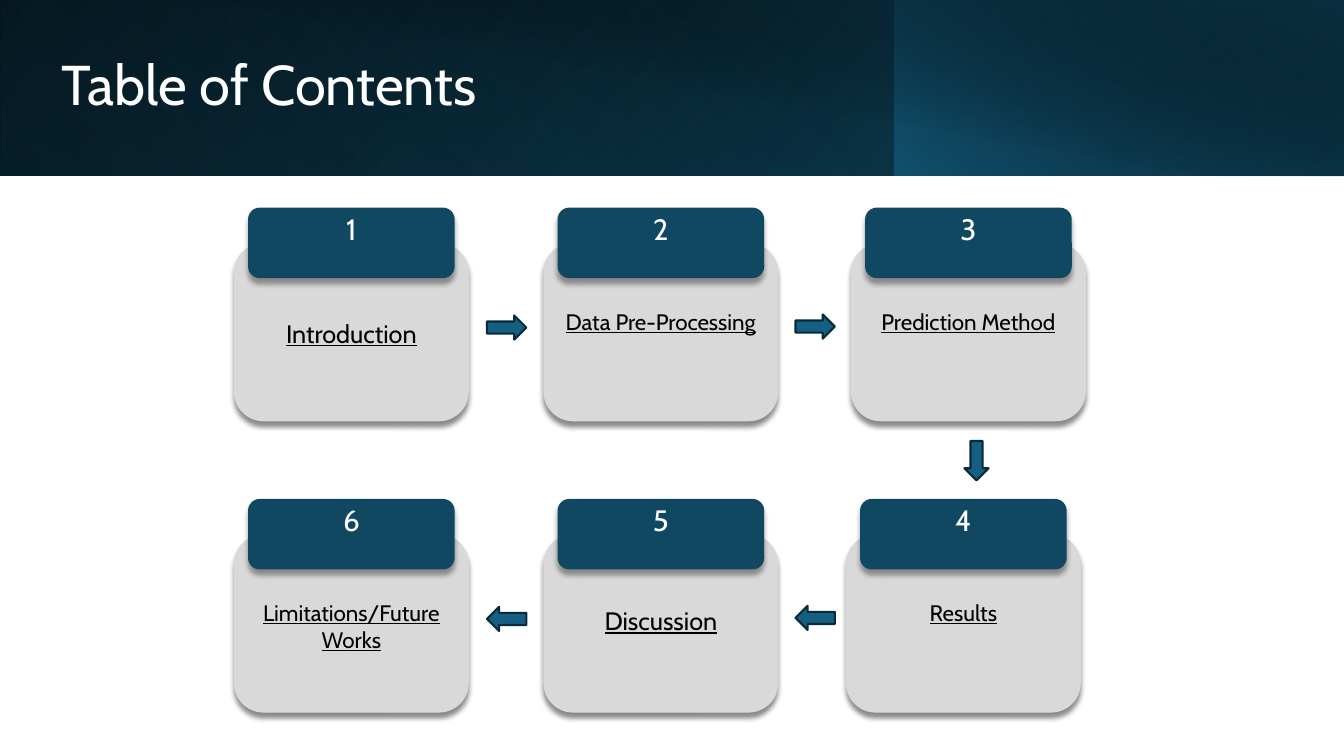
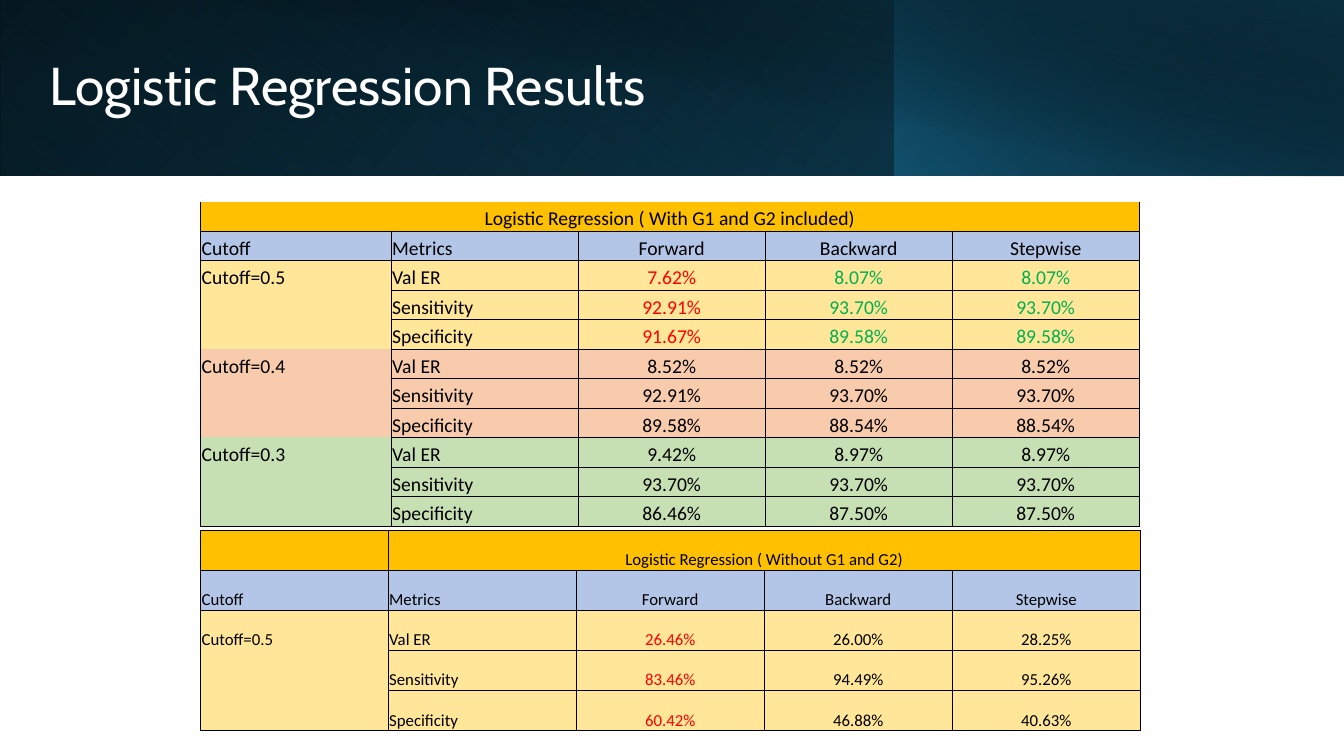
"""Builds a contents slide and a logistic regression results slide."""
from pptx import Presentation
from pptx.dml.color import RGBColor
from pptx.enum.shapes import MSO_SHAPE
from pptx.enum.text import MSO_ANCHOR, PP_ALIGN
from pptx.oxml import parse_xml
from pptx.oxml.ns import nsdecls, qn
from pptx.util import Inches, Pt

RECT = MSO_SHAPE.RECTANGLE
CARD = MSO_SHAPE.FLOWCHART_ALTERNATE_PROCESS
ARROW = MSO_SHAPE.RIGHT_ARROW
LEFT, CENTER = PP_ALIGN.LEFT, PP_ALIGN.CENTER
TOP, MIDDLE, BOTTOM = MSO_ANCHOR.TOP, MSO_ANCHOR.MIDDLE, MSO_ANCHOR.BOTTOM

HEADING_FONT, TABLE_FONT = "Cabin", "Calibri"
WHITE, BLACK = "FFFFFF", "000000"
TEAL, DEEP_TEAL, NAVY, OUTLINE = "156082", "104862", "0B3041", "092A39"
GREY, RED, GREEN = "D9D9D9", "FF0000", "00B050"
GOLD, BLUE, YELLOW, PEACH, MINT = "FFC000", "B4C6E7", "FFE699", "F8CBAD", "C6E0B4"

BAND = [
    ((0, 0, 13.33, 1.74), 140, True, 0, [(0, BLACK, 100), (100, DEEP_TEAL, 100)]),
    ((0, 0, 8.88, 1.74), 230, True, 180, [(20, TEAL, 0), (100, NAVY, 55)]),
    ((8.87, 0, 4.46, 1.74), 220, True, 0, [(0, TEAL, 66), (100, BLACK, 30)]),
    ((0.5, 0, 12.83, 1.75), 280, False, 0, [(50, BLACK, 0), (99, NAVY, 52)]),
]

ROW_1, ROW_2 = 2.41, 5.3
CARDS = [
    ("1", "Introduction", 2.32, ROW_1, 18, 0.66),
    ("2", "Data Pre-Processing", 5.39, ROW_1, 16, 0.56),
    ("3", "Prediction Method", 8.44, ROW_1, 16, 0.56),
    ("4", "Results", 8.39, ROW_2, 16, 0.56),
    ("5", "Discussion", 5.39, ROW_2, 18, 0.62),
    ("6", "Limitations/Future Works", 2.32, ROW_2, 16, 0.56),
]
ARROWS = [(4.83, 3.13, 0), (7.89, 3.12, 0), (9.49, 4.45, 90),
          (7.89, 6.01, 180), (4.83, 6.02, 180)]

HEADINGS = ["Cutoff", "Metrics", "Forward", "Backward", "Stepwise"]
METRICS = ["Val ER", "Sensitivity", "Specificity"]
WITH_GRADES = [
    ("Cutoff=0.5", YELLOW, (RED, GREEN, GREEN),
     [("7.62%", "8.07%", "8.07%"),
      ("92.91%", "93.70%", "93.70%"),
      ("91.67%", "89.58%", "89.58%")]),
    ("Cutoff=0.4", PEACH, (BLACK, BLACK, BLACK),
     [("8.52%", "8.52%", "8.52%"),
      ("92.91%", "93.70%", "93.70%"),
      ("89.58%", "88.54%", "88.54%")]),
    ("Cutoff=0.3", MINT, (BLACK, BLACK, BLACK),
     [("9.42%", "8.97%", "8.97%"),
      ("93.70%", "93.70%", "93.70%"),
      ("86.46%", "87.50%", "87.50%")]),
]
WITHOUT_GRADES = [
    ("Cutoff=0.5", YELLOW, (RED, BLACK, BLACK),
     [("26.46%", "26.00%", "28.25%"),
      ("83.46%", "94.49%", "95.26%"),
      ("60.42%", "46.88%", "40.63%")]),
]


def rgb(value):
    """Turn a hex string into a colour."""
    return RGBColor.from_string(value)


def write(frame, text, size, font=HEADING_FONT, color=BLACK, align=LEFT,
          underline=False, spacing=None):
    """Write one formatted paragraph into a text frame."""
    paragraph = frame.paragraphs[0]
    paragraph.alignment = align
    if spacing:
        paragraph.line_spacing = spacing
    if not text:
        paragraph._p.append(parse_xml(
            f'<a:endParaRPr {nsdecls("a")} sz="{size * 100}"/>'))
        return
    run = paragraph.add_run()
    run.text = text
    run.font.size = Pt(size)
    run.font.name = font
    run.font.color.rgb = rgb(color)
    run.font.underline = underline or None


def add_block(shapes, kind, box, fill=None, line=None, shadow=None):
    """Add a preset shape with an optional fill, outline and shadow opacity."""
    block = shapes.add_shape(kind, *map(Inches, box))
    block.shadow.inherit = False
    if fill:
        block.fill.solid()
        block.fill.fore_color.rgb = rgb(fill)
    else:
        block.fill.background()
    if line:
        block.line.color.rgb = rgb(line)
        block.line.width = Pt(1.5)
    else:
        block.line.fill.background()
    if shadow:
        block._element.spPr.find(qn("a:effectLst")).append(parse_xml(
            f'<a:outerShdw {nsdecls("a")} blurRad="{Pt(4)}" dist="{Pt(4)}" '
            f'dir="5400000" algn="t" rotWithShape="0"><a:srgbClr val="{BLACK}">'
            f'<a:alpha val="{shadow * 1000}"/></a:srgbClr></a:outerShdw>'))
    return block


def add_gradient(shapes, box, angle, flipped, rotation, stops):
    """Add a rectangle filled with a gradient of position, colour and opacity."""
    panel = add_block(shapes, RECT, box)
    panel.rotation = rotation
    properties = panel._element.spPr
    if flipped:
        properties.find(qn("a:xfrm")).set("flipH", "1")
    marks = "".join(
        f'<a:gs pos="{position * 1000}"><a:srgbClr val="{color}">'
        f'<a:alpha val="{opacity * 1000}"/></a:srgbClr></a:gs>'
        for position, color, opacity in stops)
    gradient = parse_xml(
        f'<a:gradFill {nsdecls("a")} rotWithShape="1"><a:gsLst>{marks}</a:gsLst>'
        f'<a:lin ang="{angle * 60000}" scaled="0"/></a:gradFill>')
    properties.replace(properties.find(qn("a:noFill")), gradient)


def add_titled_slide(deck, title, left, top, size):
    """Add a blank slide with the header band and its title."""
    slide = deck.slides.add_slide(deck.slide_layouts[6])
    for panel in BAND:
        add_gradient(slide.shapes, *panel)
    heading = slide.shapes.add_textbox(*map(Inches, (left, top, 10.82, 1.13)))
    frame = heading.text_frame
    frame.word_wrap = True
    frame.vertical_anchor = MIDDLE
    write(frame, title, size, color=WHITE, spacing=0.9)
    return slide


def add_card(slide, number, topic, left, top, size, inset):
    """Add a numbered topic card as one group."""
    shapes = slide.shapes.add_group_shape().shapes
    body = add_block(shapes, CARD, (left, top, 2.33, 1.77), GREY, shadow=46)
    tab = add_block(shapes, CARD, (left + 0.14, top - 0.35, 2.05, 0.7),
                    DEEP_TEAL, shadow=37)
    for part, margin in ((body, inset), (tab, 0)):
        part.text_frame.word_wrap = True
        part.text_frame.vertical_anchor = TOP
        part.text_frame.margin_top = Inches(margin)
    write(body.text_frame, topic, size, align=CENTER, underline=True)
    write(tab.text_frame, number, 21, color=WHITE, align=CENTER)


def fill_cell(cell, text, fill, size, color=BLACK, align=LEFT, sides="LRTB"):
    """Fill a table cell and rule the named sides."""
    cell.vertical_anchor = BOTTOM
    cell.margin_left = cell.margin_right = cell.margin_top = Inches(0.01)
    cell.margin_bottom = 0
    properties = cell._tc.get_or_add_tcPr()
    for side in "LRTB":
        ink = (f'<a:solidFill><a:srgbClr val="{BLACK}"/></a:solidFill>'
               if side in sides else "<a:noFill/>")
        properties.append(parse_xml(
            f'<a:ln{side} {nsdecls("a")} w="{Pt(0.5)}">{ink}</a:ln{side}>'))
    cell.fill.solid()
    cell.fill.fore_color.rgb = rgb(fill)
    write(cell.text_frame, text, size, font=TABLE_FONT, color=color, align=align)


def add_results(slide, box, first_width, size, title, title_column, title_sides,
                groups):
    """Add a results table with a title row, headings and cutoff groups."""
    row_count = 2 + len(METRICS) * len(groups)
    table = slide.shapes.add_table(row_count, len(HEADINGS),
                                   *map(Inches, box)).table
    table.first_row = table.horz_banding = False
    other_width = (box[2] - first_width) / (len(HEADINGS) - 1)
    for index, column in enumerate(table.columns):
        column.width = Inches(other_width if index else first_width)

    for index, heading in enumerate(HEADINGS):
        fill_cell(table.cell(0, index), title if index == title_column else "",
                  GOLD, size, align=CENTER, sides=title_sides)
        fill_cell(table.cell(1, index), heading, BLUE, size,
                  align=CENTER if index > 1 else LEFT)
    table.cell(0, title_column).merge(table.cell(0, len(HEADINGS) - 1))

    row = 2
    for cutoff, fill, colors, records in groups:
        for metric, values in zip(METRICS, records):
            sides = "LR" + "T" * (row == 2) + "B" * (row == row_count - 1)
            label = cutoff if metric == METRICS[0] else ""
            fill_cell(table.cell(row, 0), label, fill, size, sides=sides)
            fill_cell(table.cell(row, 1), metric, fill, size)
            for column, (value, color) in enumerate(zip(values, colors), 2):
                fill_cell(table.cell(row, column), value, fill, size, color, CENTER)
            row += 1


def build_contents(deck):
    """Build the contents slide."""
    slide = add_titled_slide(deck, "Table of Contents", 0.51, 0.3, 40)
    for card in CARDS:
        add_card(slide, *card)
    for left, top, rotation in ARROWS:
        arrow = add_block(slide.shapes, ARROW, (left, top, 0.39, 0.24), TEAL, OUTLINE)
        arrow.rotation = rotation


def build_results(deck):
    """Build the logistic regression slide."""
    slide = add_titled_slide(deck, "Logistic Regression Results", 0.39, 0.31, 38)
    add_results(slide, (1.99, 2, 9.31, 3.22), 1.89, 14,
                "Logistic Regression ( With G1 and G2 included)", 0, "LRB",
                WITH_GRADES)
    add_results(slide, (1.99, 5.26, 9.32, 1.99), 1.86, 12,
                "Logistic Regression ( Without G1 and G2)", 1, "LRTB",
                WITHOUT_GRADES)


def main():
    """Build and save the deck."""
    deck = Presentation()
    deck.slide_width, deck.slide_height = Inches(13.33), Inches(7.5)
    build_contents(deck)
    build_results(deck)
    deck.save("out.pptx")


if __name__ == "__main__":
    main()
